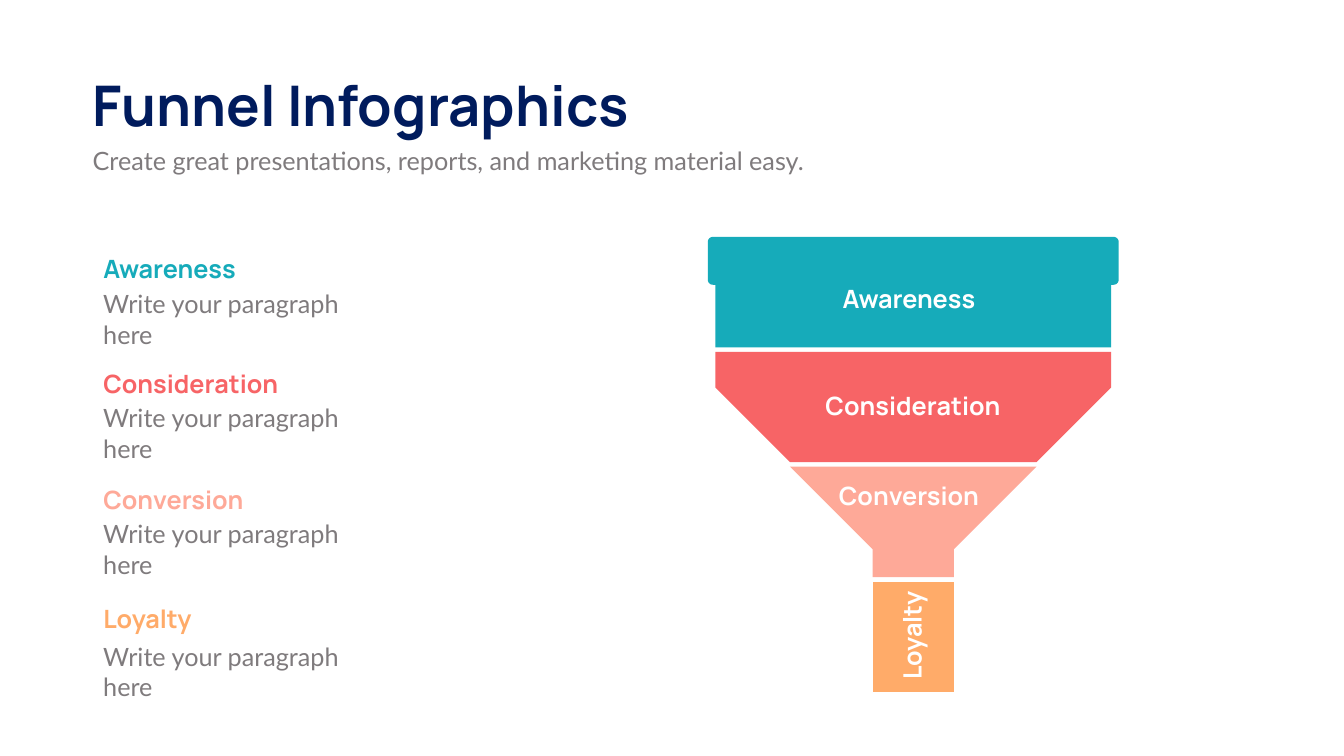
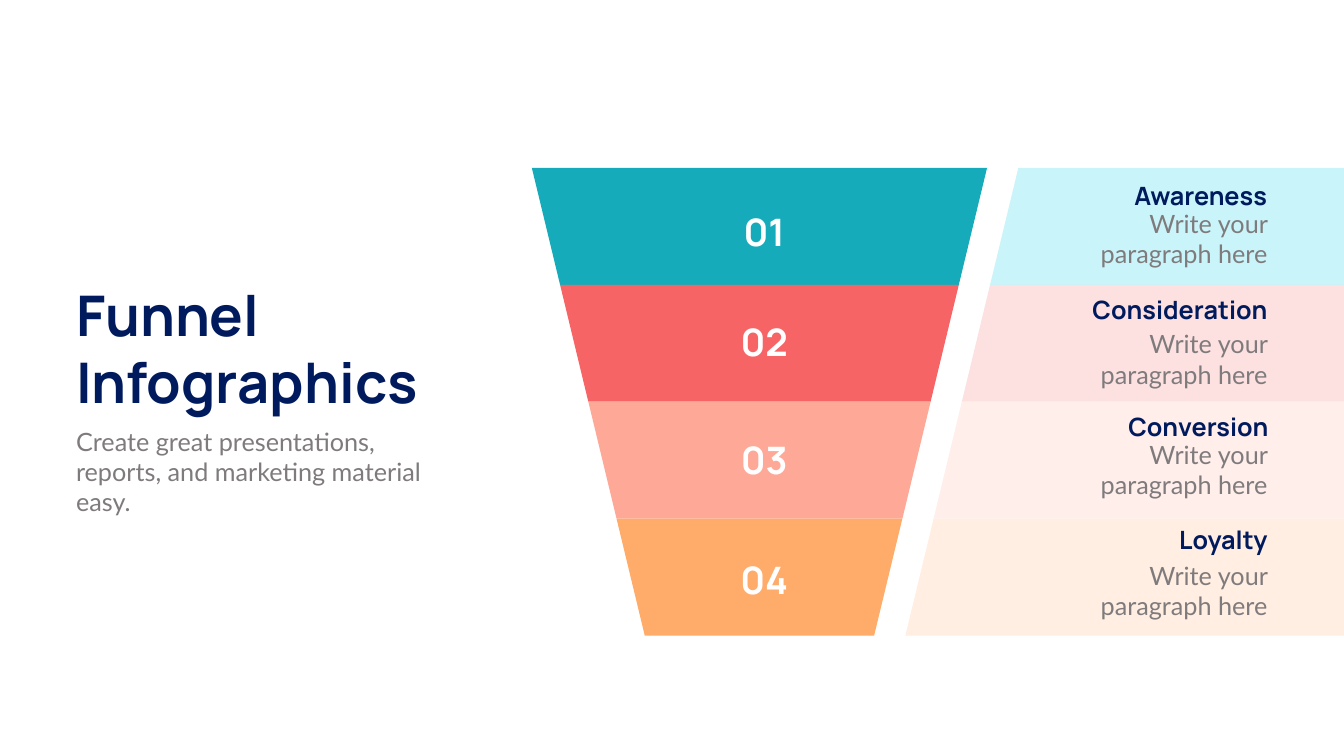
from math import cos, radians, sin

from pptx import Presentation
from pptx.dml.color import RGBColor
from pptx.enum.text import MSO_AUTO_SIZE as AutoSize, PP_ALIGN as Align
from pptx.util import Emu, Pt

PX = 9144
WIDTH, HEIGHT = 2666, 1500

NAVY = RGBColor(0x00, 0x1B, 0x5D)
GREY = RGBColor(0x7F, 0x7B, 0x7D)
WHITE = RGBColor(0xFF, 0xFF, 0xFF)
TEAL = RGBColor(0x16, 0xAB, 0xBA)
CORAL = RGBColor(0xF7, 0x64, 0x66)
PEACH = RGBColor(0xFE, 0xA9, 0x98)
ORANGE = RGBColor(0xFF, 0xAB, 0x69)
PALE_TEAL = RGBColor(0xC9, 0xF4, 0xF9)
PALE_CORAL = RGBColor(0xFD, 0xE0, 0xE0)
PALE_PEACH = RGBColor(0xFF, 0xEE, 0xEA)
PALE_ORANGE = RGBColor(0xFF, 0xEE, 0xE1)

TITLE_FONT = ("Manrope", 80, True)
NUMBER_FONT = ("Manrope", 54, True)
HEADING_FONT = ("Manrope", 36, True)
BODY_FONT = ("Lato", 36, False)

SUBTITLE = "Create great presentations, reports, and marketing material easy."
BODY = "Write your paragraph here"

STAGES = [
    ("Awareness", TEAL, PALE_TEAL),
    ("Consideration", CORAL, PALE_CORAL),
    ("Conversion", PEACH, PALE_PEACH),
    ("Loyalty", ORANGE, PALE_ORANGE),
]

LIST_ROWS = [(497, 332, 568), (726, 382, 794), (955, 382, 1024), (1193, 382, 1268)]
FUNNEL_LABELS = [
    (1309, 558, 988, 0),
    (1317, 769, 988, 0),
    (1545, 949, 516, 0),
    (1700, 1226, 217, 270),
]
FUNNEL_TOP, FUNNEL_PITCH, BAND_HEIGHT = 470, 228, 219
FUNNEL_AXIS_SUM = 3623
LIP_LEFT, LIP_HEIGHT, LIP_RADIUS = 1404, 95, 10
BODY_LEFT, SHOULDER_LEFT, SPOUT_LEFT = 1419, 1567, 1731

PANEL_ROWS = [
    (2033, 352, 408, 409),
    (2034, 579, 647, 627),
    (2036, 812, 867, 862),
    (2034, 1036, 1106, 1100),
]
ROW_TOP, ROW_HEIGHT, SLANT = 333, 232, 56
CONE_LEFT, CONE_RIGHT, PANEL_LEFT = 1055, 1958, 2020


def add_text(page, place, lines, font, color, align=Align.LEFT, rotation=0):
    box = page.shapes.add_textbox(*(Emu(value * PX) for value in place))
    box.rotation = rotation
    frame = box.text_frame
    frame.word_wrap = True
    frame.auto_size = AutoSize.SHAPE_TO_FIT_TEXT
    name, size, bold = font
    for index, line in enumerate(lines):
        para = frame.add_paragraph() if index else frame.paragraphs[0]
        para.alignment = align
        span = para.add_run()
        span.text = line
        span.font.name = name
        span.font.size = Pt(size)
        span.font.bold = bold
        span.font.color.rgb = color


def add_outline(page, points, color):
    corners = [(round(x * PX), round(y * PX)) for x, y in points]
    builder = page.shapes.build_freeform(*corners[0])
    builder.add_line_segments(corners[1:], close=True)
    shape = builder.convert_to_shape()
    shape.shadow.inherit = False
    shape.fill.solid()
    shape.fill.fore_color.rgb = color
    shape.line.fill.background()


def mirrored(left_side):
    return left_side + [(FUNNEL_AXIS_SUM - x, y) for x, y in reversed(left_side)]


def corner(center_x, center_y, start):
    angles = [radians(start - step) for step in range(0, 91, 15)]
    return [
        (center_x + LIP_RADIUS * cos(angle), center_y - LIP_RADIUS * sin(angle))
        for angle in angles
    ]


def funnel_sides():
    tops = [FUNNEL_TOP + FUNNEL_PITCH * index for index in range(len(STAGES))]
    bottoms = [top + BAND_HEIGHT for top in tops]
    lip_center = LIP_LEFT + LIP_RADIUS
    lip_bottom = FUNNEL_TOP + LIP_HEIGHT
    lip = corner(lip_center, lip_bottom - LIP_RADIUS, 270)
    lip += corner(lip_center, FUNNEL_TOP + LIP_RADIUS, 180)
    return [
        [(BODY_LEFT, bottoms[0]), (BODY_LEFT, lip_bottom)] + lip,
        [
            (SHOULDER_LEFT, bottoms[1]),
            (BODY_LEFT, bottoms[1] - SHOULDER_LEFT + BODY_LEFT),
            (BODY_LEFT, tops[1]),
        ],
        [
            (SPOUT_LEFT, bottoms[2]),
            (SPOUT_LEFT, tops[2] + SPOUT_LEFT - SHOULDER_LEFT),
            (SHOULDER_LEFT, tops[2]),
        ],
        [(SPOUT_LEFT, bottoms[3]), (SPOUT_LEFT, tops[3])],
    ]


def build_spout_funnel(page):
    add_text(page, (174, 135, 1171, 145), ["Funnel Infographics"], TITLE_FONT, NAVY)
    add_text(page, (174, 284, 2082, 71), [SUBTITLE], BODY_FONT, GREY)
    for (_, color, _), side in zip(STAGES, funnel_sides()):
        add_outline(page, mirrored(side), color)
    for (name, color, _), row, label in zip(STAGES, LIST_ROWS, FUNNEL_LABELS):
        heading_top, heading_width, body_top = row
        add_text(page, (195, heading_top, heading_width, 71), [name], HEADING_FONT, color)
        add_text(page, (195, body_top, 590, 131), [BODY], BODY_FONT, GREY)
        left, top, width, rotation = label
        add_text(page, (left, top, width, 71), [name], HEADING_FONT, WHITE,
                 Align.CENTER, rotation)


def build_cone_funnel(page):
    for index, (_, color, pale) in enumerate(STAGES):
        top = ROW_TOP + ROW_HEIGHT * index
        bottom = top + ROW_HEIGHT
        upper, lower = SLANT * index, SLANT * (index + 1)
        add_outline(page, [
            (CONE_LEFT + upper, top), (CONE_RIGHT - upper, top),
            (CONE_RIGHT - lower, bottom), (CONE_LEFT + lower, bottom),
        ], color)
        add_outline(page, [
            (PANEL_LEFT - upper, top), (WIDTH, top),
            (WIDTH, bottom), (PANEL_LEFT - lower, bottom),
        ], pale)
    add_text(page, (141, 551, 758, 279), ["Funnel", "Infographics"], TITLE_FONT, NAVY)
    add_text(page, (141, 840, 792, 131), [SUBTITLE], BODY_FONT, GREY)
    for number, ((name, _, _), row) in enumerate(zip(STAGES, PANEL_ROWS), 1):
        left, heading_top, body_top, number_top = row
        add_text(page, (left, heading_top, 490, 71), [name], HEADING_FONT, NAVY, Align.RIGHT)
        add_text(page, (1353, number_top, 326, 101), [f"{number:02}"], NUMBER_FONT, WHITE,
                 Align.CENTER)
        add_text(page, (2158, body_top, 366, 131), [BODY], BODY_FONT, GREY, Align.RIGHT)


def main():
    deck = Presentation()
    deck.slide_width = Emu(WIDTH * PX)
    deck.slide_height = Emu(HEIGHT * PX)
    for build in (build_spout_funnel, build_cone_funnel):
        build(deck.slides.add_slide(deck.slide_layouts[6]))
    deck.save("out.pptx")


if __name__ == "__main__":
    main()
